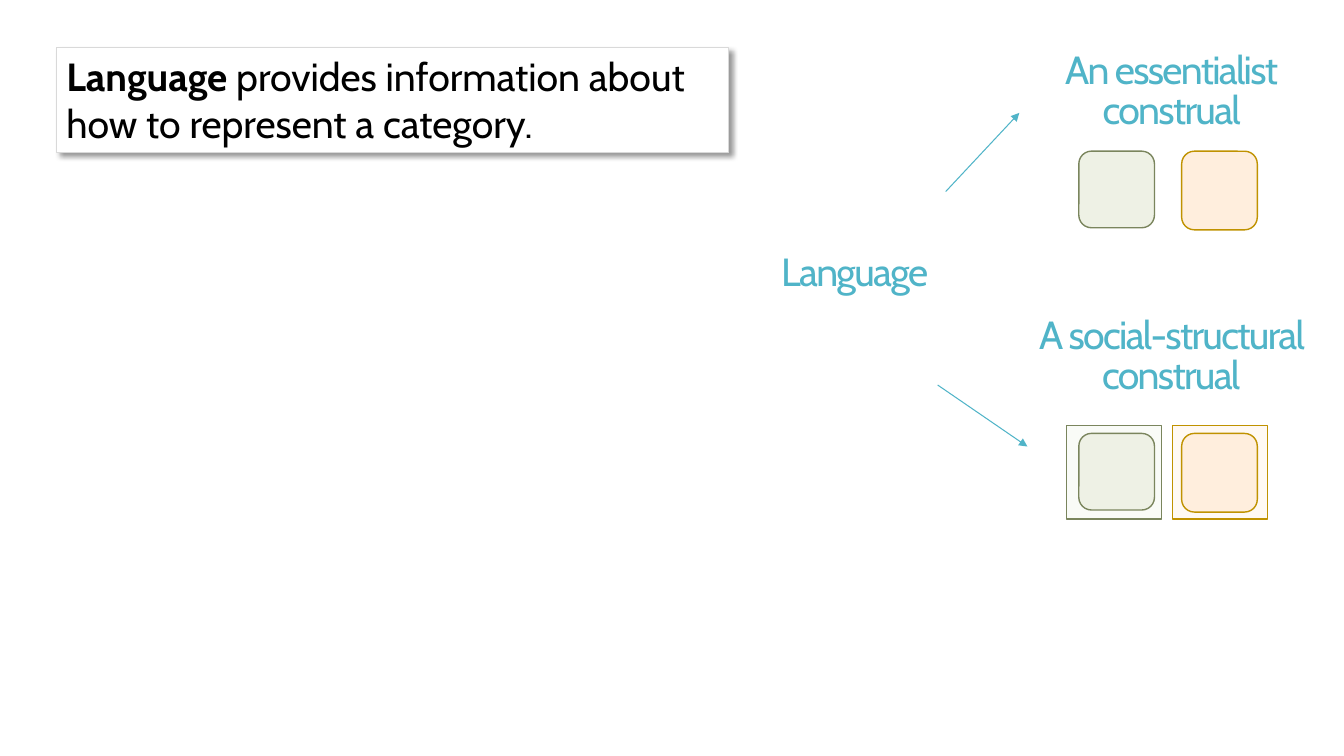
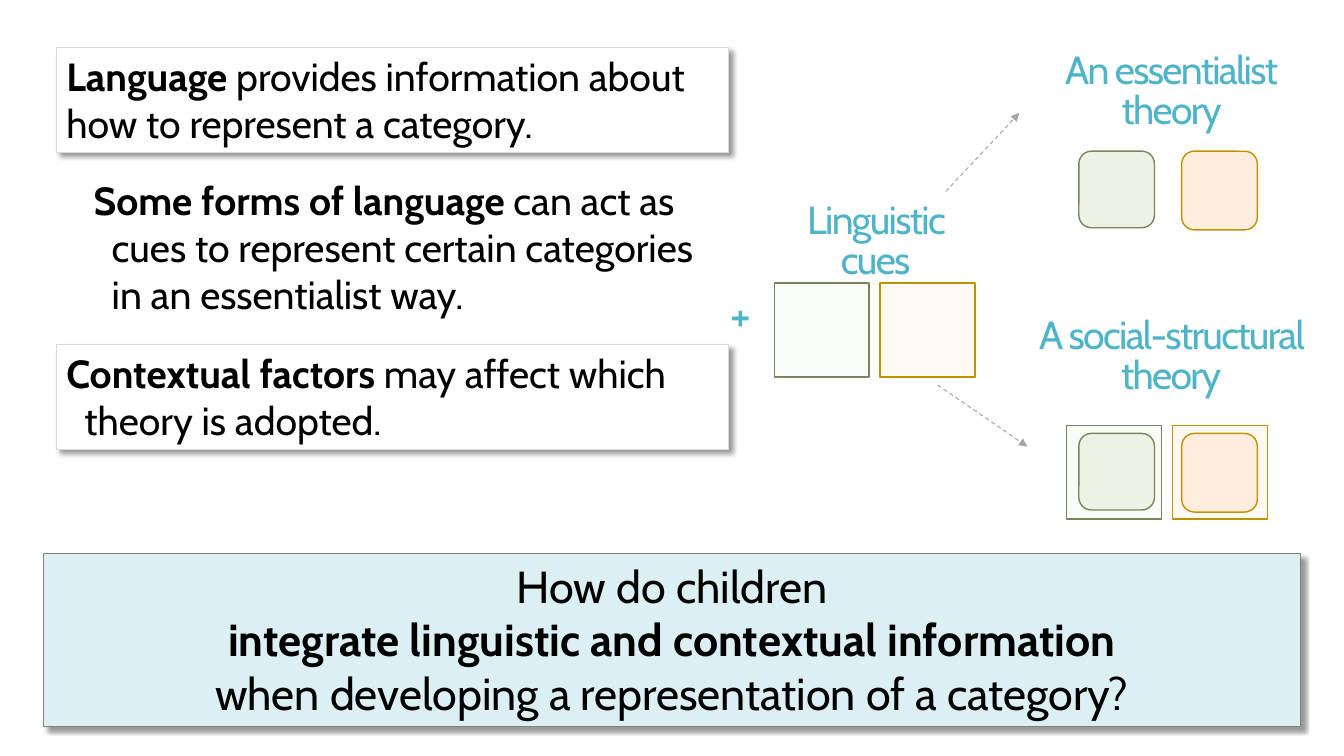
from lxml import etree
from pptx import Presentation, util as u
from pptx.dml.color import RGBColor
from pptx.enum import dml, shapes, text
from pptx.oxml import ns

FONT = "Cabin"
TEAL, BLACK, WHITE = "50B4C8", "000000", "FFFFFF"
PALE_TEAL, GREY, LIGHT_GREY, DARK_GREY = "DCF0F4", "A6A6A6", "D9D9D9", "808080"
CATEGORIES = (
    {"fill": "EEF1E5", "frame": "F9FBF7", "line": "7A855D", "height": 0.76},
    {"fill": "FFEEDD", "frame": "FFF9F3", "line": "C09200", "height": 0.78},
)
CARD_LEFT, CARD_WIDTH, CARD_HEIGHT = 0.56, 6.67, 1.04
HANGING = 0.18


def rgb(value):
    """Turn a hex string into a colour."""
    return RGBColor.from_string(value)


def inches(*lengths):
    """Turn plain numbers into lengths."""
    return [u.Inches(length) for length in lengths]


def add_xml(parent, tag, **attributes):
    """Append a drawing element and return it."""
    return etree.SubElement(parent, ns.qn(tag), attributes)


def set_font(paragraph, size, color):
    """Give a paragraph the shared typeface."""
    font = paragraph.font
    font.name, font.size = FONT, u.Pt(size)
    font.color.rgb = rgb(color)
    return font


def write_heading(box, words, size=28, align=text.PP_ALIGN.CENTER):
    """Fill a box with a tight teal heading, one line per listed string."""
    frame = box.text_frame
    frame.word_wrap = True
    frame.auto_size = text.MSO_AUTO_SIZE.NONE
    frame.vertical_anchor = text.MSO_ANCHOR.MIDDLE
    paragraph = frame.paragraphs[0]
    paragraph.alignment, paragraph.line_spacing = align, 0.85
    paragraph.space_before = u.Pt(0)
    for index, line in enumerate(words):
        if index:
            paragraph.add_line_break()
        run = paragraph.add_run()
        run.text = line
        run.font._element.set("spc", "-120")
    set_font(paragraph, size, TEAL).bold = False


def add_heading(slide, box, *words, **style):
    """Add a free heading in the given box."""
    write_heading(slide.shapes.add_textbox(*inches(*box)), words, **style)


def add_title(slide, box, words):
    """Move the title placeholder to the box and fill it."""
    title = slide.shapes.title
    title.left, title.top, title.width, title.height = inches(*box)
    write_heading(title, [words])


def add_block(parent, kind, box, fill, line, width):
    """Add a filled and outlined shape without a shadow."""
    block = parent.add_shape(kind, *inches(*box))
    block.shadow.inherit = False
    block.fill.solid()
    block.fill.fore_color.rgb = rgb(fill)
    block.line.color.rgb = rgb(line)
    block.line.width = u.Pt(width)
    return block


def add_card(slide, box, fill=WHITE, line=LIGHT_GREY):
    """Add a panel that casts a soft shadow."""
    card = add_block(slide.shapes, shapes.MSO_SHAPE.RECTANGLE, box, fill, line, 0.75)
    effects = card._element.spPr.find(ns.qn("a:effectLst"))
    shadow = add_xml(effects, "a:outerShdw", blurRad="50800", dist="38100",
                     dir="2700000", algn="tl", rotWithShape="0")
    color = add_xml(shadow, "a:srgbClr", val=BLACK)
    add_xml(color, "a:alpha", val="40000")
    return card


def write_statement(box, lines, size=28, align=text.PP_ALIGN.LEFT, hanging=0):
    """Write lines of (words, bold) parts as one paragraph."""
    frame = box.text_frame
    frame.word_wrap = True
    frame.vertical_anchor = text.MSO_ANCHOR.TOP
    paragraph = frame.paragraphs[0]
    paragraph.alignment = align
    if hanging:
        properties = paragraph._p.get_or_add_pPr()
        properties.set("marL", str(u.Inches(hanging)))
        properties.set("indent", str(-u.Inches(hanging)))
    for index, parts in enumerate(lines):
        if index:
            paragraph.add_line_break()
        for words, bold in parts:
            run = paragraph.add_run()
            run.text, run.font.bold = words, bold
    set_font(paragraph, size, BLACK)


def add_frames(parent, left, top):
    """Draw the pair of square context frames."""
    for index, category in enumerate(CATEGORIES):
        add_block(parent, shapes.MSO_SHAPE.RECTANGLE, (left + 1.05 * index, top, 0.94, 0.93),
                  category["frame"], category["line"], 1)


def add_members(parent, left, top):
    """Draw the pair of rounded category tiles."""
    for index, category in enumerate(CATEGORIES):
        add_block(parent, shapes.MSO_SHAPE.ROUNDED_RECTANGLE,
                  (left + 1.02 * index, top, 0.75, category["height"]),
                  category["fill"], category["line"], 1)


def add_arrow(slide, start, end, color, dash):
    """Draw a thin arrow from start to end."""
    arrow = slide.shapes.add_connector(shapes.MSO_CONNECTOR.STRAIGHT, *inches(*start, *end))
    arrow.line.color.rgb = rgb(color)
    arrow.line.width = u.Pt(0.75)
    if dash:
        arrow.line.dash_style = dash
    add_xml(arrow.line._get_or_add_ln(), "a:tailEnd", type="triangle")
    add_xml(arrow._element.spPr, "a:effectLst")


def add_outcomes(slide, noun, left, top):
    """Place the two outcomes with their headings and tiles."""
    add_heading(slide, (left, top, 3.56, 1.7), "An essentialist", noun)
    add_title(slide, (left + 0.3, top + 2.63, 2.95, 1.7), f"A social-structural {noun}")
    essentialist = slide.shapes.add_group_shape().shapes
    add_members(essentialist, left + 0.86, top + 1.43)
    structural = slide.shapes.add_group_shape().shapes
    add_frames(structural, left + 0.74, top + 4.15)
    add_members(structural, left + 0.86, top + 4.23)


def add_shared_parts(deck, noun, arrow_color, dash=None):
    """Start a slide with the first statement, the outcomes and the arrows."""
    slide = deck.slides.add_slide(deck.slide_layouts[5])
    add_outcomes(slide, noun, 9.84, 0.07)
    claim = add_card(slide, (CARD_LEFT, 0.47, CARD_WIDTH, CARD_HEIGHT))
    write_statement(claim, [[("Language", True),
                             (" provides information about how to represent a category.", False)]])
    add_arrow(slide, (9.38, 1.9), (10.11, 1.12), arrow_color, dash)
    add_arrow(slide, (9.3, 3.82), (10.19, 4.43), arrow_color, dash)
    return slide


def add_cues(slide, left, top):
    """Place the linguistic cues, the plus sign and the context frames."""
    add_heading(slide, (left + 0.49, top, 2.27, 0.93), "Linguistic cues")
    add_heading(slide, (left, top + 0.93, 0.58, 0.57), "+", size=32)
    add_frames(slide.shapes, left + 0.62, top + 0.87)


def add_question(slide, box):
    """Place the research question in a tinted panel."""
    question = add_card(slide, box, PALE_TEAL, DARK_GREY)
    write_statement(question, [
        [("How do children", False)],
        [("integrate linguistic and contextual information", True)],
        [("when developing a representation of a category?", False)],
    ], size=32, align=text.PP_ALIGN.CENTER)


def build_language_slide(deck):
    """Build the slide on language and construals."""
    slide = add_shared_parts(deck, "construal", TEAL)
    add_heading(slide, (7.65, 2.4, 2.27, 0.65), "Language", align=text.PP_ALIGN.LEFT)


def build_question_slide(deck):
    """Build the slide that leads to the research question."""
    slide = add_shared_parts(deck, "theory", GREY, dml.MSO_LINE.DASH)
    forms = slide.shapes.add_textbox(*inches(0.83, 1.7, 6.4, 1.51))
    write_statement(forms, [[
        ("Some forms of language ", True),
        ("can act as cues to represent certain categories in an essentialist way.", False),
    ]], hanging=HANGING)
    context = add_card(slide, (CARD_LEFT, 3.42, CARD_WIDTH, CARD_HEIGHT))
    write_statement(context, [[("Contextual factors ", True),
                               ("may affect which theory is adopted.", False)]], hanging=HANGING)
    add_cues(slide, 7.06, 1.94)
    add_question(slide, (0.43, 5.49, 12.47, 1.72))


def main():
    """Build and save the presentation."""
    deck = Presentation()
    deck.slide_width, deck.slide_height = inches(13.33, 7.5)
    build_language_slide(deck)
    build_question_slide(deck)
    deck.save("out.pptx")


if __name__ == "__main__":
    main()
